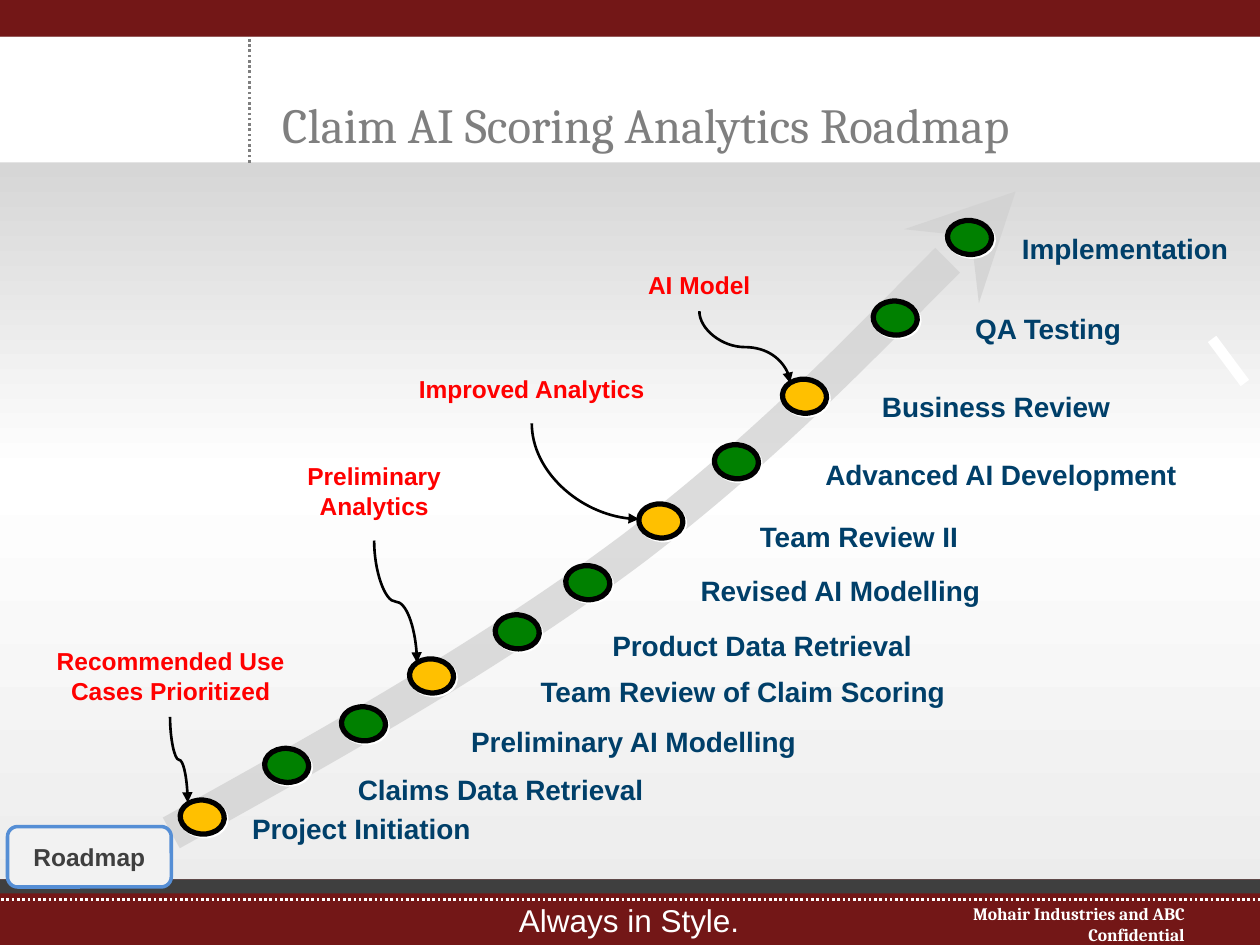
from lxml import etree
from pptx import Presentation
from pptx.dml.color import RGBColor
from pptx.enum.dml import MSO_LINE
from pptx.enum.shapes import MSO_CONNECTOR, MSO_SHAPE
from pptx.enum.text import MSO_ANCHOR, PP_ALIGN
from pptx.oxml.ns import qn
from pptx.util import Inches, Pt

LEFT, MID, RIGHT = PP_ALIGN.LEFT, PP_ALIGN.CENTER, PP_ALIGN.RIGHT
TOP, CENTER, BOTTOM = MSO_ANCHOR.TOP, MSO_ANCHOR.MIDDLE, MSO_ANCHOR.BOTTOM
RECT, ROUND, OVAL = MSO_SHAPE.RECTANGLE, MSO_SHAPE.ROUNDED_RECTANGLE, MSO_SHAPE.OVAL
STRAIGHT, CURVE = MSO_CONNECTOR.STRAIGHT, MSO_CONNECTOR.CURVE
DOTS = MSO_LINE.ROUND_DOT

COLORS = {
    "maroon": "731717", "dark": "3F3F3F", "white": "FFFFFF", "gray": "7F7F7F",
    "road": "D1D1D1", "gold": "FFC000", "green": "008000", "black": "000000",
    "navy": "003F69", "red": "FF0000", "pale": "F2F2F2", "blue": "558ED5",
}
SKY = [(0, "BFBFBF"), (50, "FFFFFF"), (100, "EAEAEA")]
PAD = (0.13, 0.07)
DOT = (0.35, 0.27)

# dot left, dot top, dot colour, step, label box
STEPS = [
    (1.43, 6.35, "gold", "Project Initiation", (1.87, 6.37, 3.85, 0.27)),
    (2.1, 5.94, "green", "Claims Data Retrieval", (2.71, 6.06, 3.85, 0.36)),
    (2.71, 5.61, "green", "Preliminary AI Modelling", (3.61, 5.68, 3.74, 0.39)),
    (3.25, 5.23, "gold", "Team Review of Claim Scoring", (4.16, 5.28, 4.78, 0.38)),
    (3.93, 4.88, "green", "Product Data Retrieval", (4.73, 4.92, 3.3, 0.37)),
    (4.49, 4.49, "green", "Revised AI Modelling", (5.43, 4.48, 2.99, 0.4)),
    (5.07, 4, "gold", "Team Review II", (5.9, 4.05, 2.25, 0.39)),
    (5.67, 3.53, "green", "Advanced AI Development", (6.42, 3.56, 3.22, 0.38)),
    (6.21, 3.01, "gold", "Business Review", (6.87, 3.02, 2.3, 0.45)),
    (6.93, 2.39, "green", "QA Testing", (7.61, 2.4, 1.89, 0.45)),
    (7.52, 1.75, "green", "Implementation", (7.98, 1.77, 2.02, 0.39)),
]
# result, label box, arrow start, arrow end, arrow shape
RESULTS = [
    ("Recommended Use Cases Prioritized", (0.19, 5.06, 2.33, 0.62),
     (1.35, 5.69), (1.49, 6.37), "curvedConnector3"),
    ("Preliminary Analytics", (2.22, 3.59, 1.5, 0.7),
     (2.97, 4.29), (3.31, 5.26), "curvedConnector3"),
    ("Improved Analytics", (3.11, 2.9, 2.22, 0.45),
     (4.22, 3.36), (5.07, 4.12), "curvedConnector2"),
    ("AI Model", (4.8, 2.07, 1.5, 0.4),
     (5.55, 2.47), (6.27, 3.04), "curvedConnector3"),
]
# start, then two curves of two control points and an end
ROAD = [(1.36, 6.61), (2.64, 5.9), (3.91, 5.19), (5.03, 4.35),
        (6.14, 3.5), (8.06, 1.52), (8.06, 1.52)]


def rgb(name):
    return RGBColor.from_string(COLORS[name])


def node(parent, tag, **attrs):
    return etree.SubElement(parent, qn(tag), attrs)


def paint_sky(slide):
    fill = slide.background.fill
    fill.gradient()
    fill.gradient_angle = 270
    stops = slide._element.find(".//" + qn("a:gsLst"))
    for old in list(stops):
        stops.remove(old)
    for pos, color in SKY:
        stop = node(stops, "a:gs", pos=str(pos * 1000))
        node(stop, "a:srgbClr", val=color)


def set_line(shape, color, width, dash=None):
    shape.line.color.rgb = rgb(color)
    shape.line.width = Pt(width)
    if dash:
        shape.line.dash_style = dash


def add_head(shape, kind):
    node(shape.line._get_or_add_ln(), "a:tailEnd", type=kind)


def add_shape(slide, kind, box, fill, line=None, width=0):
    shape = slide.shapes.add_shape(kind, *map(Inches, box))
    shape.shadow.inherit = False
    shape.fill.solid()
    shape.fill.fore_color.rgb = rgb(fill)
    if line:
        set_line(shape, line, width)
    else:
        shape.line.fill.background()
    return shape


def set_text(shape, text, size=16, color="navy", font="Arial", bold=True,
             align=LEFT, anchor=TOP, pad=PAD, wrap=True, space=None):
    frame = shape.text_frame
    frame.word_wrap = wrap
    frame.vertical_anchor = anchor
    frame.margin_left = frame.margin_right = Inches(pad[0])
    frame.margin_top = frame.margin_bottom = Inches(pad[1])
    para = frame.paragraphs[0]
    para.alignment = align
    if space:
        para.line_spacing = Pt(space)
    run = para.add_run()
    run.text = text
    run.font.size, run.font.name, run.font.bold = Pt(size), font, bold
    run.font.color.rgb = rgb(color)


def add_text(slide, text, box, **style):
    set_text(slide.shapes.add_textbox(*map(Inches, box)), text, **style)


def add_line(slide, start, end, color, width, dash=None, kind=STRAIGHT):
    line = slide.shapes.add_connector(kind, *map(Inches, (*start, *end)))
    set_line(line, color, width, dash)
    node(line._element.spPr, "a:effectLst")
    return line


def add_bend(slide, start, end, preset):
    """Draw a curved arrow that leaves its start downwards."""
    (x1, y1), (x2, y2) = start, end
    cx, cy = (x1 + x2) / 2, (y1 + y2) / 2
    dx, dy = (y2 - y1) / 2, (x2 - x1) / 2
    bend = add_line(slide, (cx - dx, cy - dy), (cx + dx, cy + dy),
                    "black", 1.5, kind=CURVE)
    props = bend._element.spPr
    frame = props.find(qn("a:xfrm"))
    frame.set("rot", str(270 * 60000))
    frame.set("flipH", "1")
    props.find(qn("a:prstGeom")).set("prst", preset)
    add_head(bend, "triangle")


def add_road(slide):
    points = [(Inches(x), Inches(y)) for x, y in ROAD]
    pen = slide.shapes.build_freeform(*points[0])
    pen.add_line_segments(points[1:], close=False)
    road = pen.convert_to_shape()
    road.shadow.inherit = False
    road.fill.background()
    set_line(road, "road", 20)
    add_head(road, "stealth")
    props = road._element.spPr
    node(props.find(".//" + qn("a:ln")).find(".//" + qn("a:srgbClr")),
         "a:alpha", val="75000")
    track = props.find(".//" + qn("a:path"))
    legs = track.findall(qn("a:lnTo"))
    for i in range(0, len(legs), 3):
        curve = node(track, "a:cubicBezTo")
        for leg in legs[i:i + 3]:
            curve.append(leg[0])
            track.remove(leg)


def add_dot(slide, left, top, color):
    dot = add_shape(slide, OVAL, (left, top, *DOT), color, "black", 3)
    dot.rotation = 4.7
    glow = node(dot._element.spPr.find(qn("a:effectLst")), "a:outerShdw",
                dist=str(Pt(1.4)), dir=str(45 * 60000), rotWithShape="0")
    node(glow, "a:srgbClr", val=COLORS["white"])


def add_frame(slide):
    add_shape(slide, RECT, (0, 6.98, 10, 0.52), "maroon")
    add_line(slide, (0.01, 7.14), (10.01, 7.14), "white", 1.5, DOTS)
    add_shape(slide, RECT, (0, 6.98, 10, 0.11), "dark")
    add_shape(slide, RECT, (0, 0.29, 10, 1), "white")
    add_line(slide, (1.98, 1.29), (1.98, 0.26), "gray", 1.5, DOTS)
    add_shape(slide, RECT, (0, 0, 10, 0.29), "maroon")
    add_text(slide, "Always in Style.", (4.02, 7.1, 1.97, 0.4), size=18,
             color="white", bold=False, pad=(0.1, 0.05), wrap=False)
    add_text(slide, "Claim AI Scoring Analytics Roadmap", (2.24, 0.65, 7.4, 0.57),
             size=28, color="gray", font="Cambria", bold=False,
             anchor=BOTTOM, pad=(0, 0), space=26)
    add_text(slide, "Mohair Industries and ABC Confidential",
             (7.17, 7.12, 2.33, 0.32), size=10, color="white",
             font="Cambria", align=RIGHT, pad=(0.1, 0.05))


def main():
    deck = Presentation()
    deck.slide_width, deck.slide_height = Inches(10), Inches(7.5)
    slide = deck.slides.add_slide(deck.slide_layouts[6])
    paint_sky(slide)
    add_frame(slide)
    add_road(slide)
    add_line(slide, (9.62, 2.69), (9.88, 3.04), "white", 6)
    tag = add_shape(slide, ROUND, (0.06, 6.56, 1.3, 0.48), "pale", "blue", 2)
    set_text(tag, "Roadmap", size=14, color="dark", align=MID, anchor=CENTER)
    for left, top, color, step, box in STEPS:
        add_dot(slide, left, top, color)
        add_text(slide, step, box)
    for result, box, start, end, preset in RESULTS:
        add_text(slide, result, box, size=14, color="red", align=MID)
        add_bend(slide, start, end, preset)
    deck.save("out.pptx")


if __name__ == "__main__":
    main()
